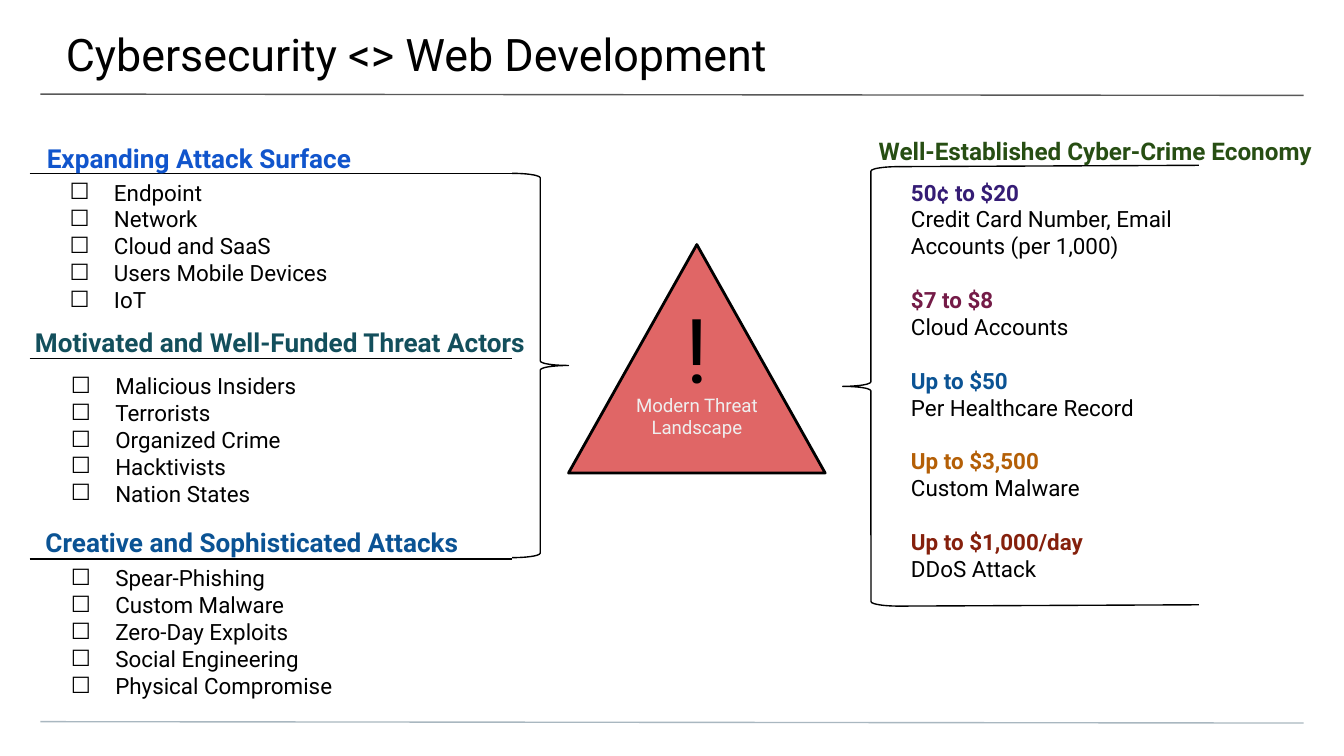
from dataclasses import dataclass

from lxml.etree import SubElement
from pptx import Presentation
from pptx.dml.color import RGBColor
from pptx.enum.shapes import MSO_CONNECTOR, MSO_SHAPE
from pptx.enum.text import MSO_ANCHOR, PP_ALIGN
from pptx.oxml.ns import qn
from pptx.util import Inches, Pt


@dataclass(frozen=True)
class Theme:
    font: str = "Roboto"
    black: str = "000000"
    top_rule: str = "595959"
    bottom_rule: str = "A9B7C0"
    alert: str = "E06666"
    pale: str = "EFEFEF"
    surface: str = "1155CC"
    actors: str = "134F5C"
    blue: str = "0B5394"
    economy: str = "274E13"
    purple: str = "351C75"
    plum: str = "741B47"
    amber: str = "B45F06"
    red: str = "85200C"
    title: int = 24
    heading: int = 14
    economy_heading: int = 13
    body: int = 12
    label: int = 10
    mark: int = 48
    gap: float = 14.4


T = Theme()

# heading, colour, heading box, heading insets, rule y, list left and top, items
THREATS = [
    ("Expanding Attack Surface", T.surface, (0.25, 0.8, 3.56, 0.49),
     (0.1, 0.1, 0.1, 0), 1.29, (0.25, 1.23),
     ["Endpoint", "Network", "Cloud and SaaS", "Users Mobile Devices", "IoT"]),
    ("Motivated and Well-Funded Threat Actors", T.actors, (0.26, 2.17, 3.85, 0.49),
     (0, 0, 0, 0), 2.67, (0.26, 2.67),
     ["Malicious Insiders", "Terrorists", "Organized Crime", "Hacktivists",
      "Nation States"]),
    ("Creative and Sophisticated Attacks", T.blue, (0.24, 3.66, 3.56, 0.49),
     (0.1, 0.1, 0.1, 0), 4.16, (0.26, 4.1),
     ["Spear-Phishing", "Custom Malware", "Zero-Day Exploits",
      "Social Engineering", "Physical Compromise"]),
]

PRICES = [
    ("50¢ to $20", T.purple, "Credit Card Number, Email Accounts (per 1,000)"),
    ("$7 to $8", T.plum, "Cloud Accounts"),
    ("Up to $50", T.blue, "Per Healthcare Record"),
    ("Up to $3,500", T.amber, "Custom Malware"),
    ("Up to $1,000/day", T.red, "DDoS Attack"),
]


def rgb(value):
    return RGBColor.from_string(value)


def add_text(p, text, size=T.body, color=T.black, bold=False,
             align=PP_ALIGN.LEFT, before=0):
    p.alignment = align
    p.space_before = Pt(before)
    r = p.add_run()
    r.text = text
    r.font.name = T.font
    r.font.size = Pt(size)
    r.font.bold = bold
    r.font.color.rgb = rgb(color)


def add_bullet(p):
    pPr = p._p.get_or_add_pPr()
    pPr.set("marL", str(Inches(0.5)))
    pPr.set("indent", str(Inches(-0.33)))
    clr = SubElement(pPr, qn("a:buClr"))
    SubElement(clr, qn("a:srgbClr")).set("val", T.black)
    SubElement(pPr, qn("a:buFont")).set("typeface", T.font)
    SubElement(pPr, qn("a:buChar")).set("char", "☐")


def set_frame(tf, insets, anchor):
    tf.word_wrap = True
    tf.vertical_anchor = anchor
    (tf.margin_left, tf.margin_top,
     tf.margin_right, tf.margin_bottom) = map(Inches, insets)


def add_box(s, box, insets=(0.1, 0.1, 0.1, 0.1), anchor=MSO_ANCHOR.TOP):
    tf = s.shapes.add_textbox(*map(Inches, box)).text_frame
    set_frame(tf, insets, anchor)
    return tf


def next_paragraph(tf, first):
    return tf.paragraphs[0] if first else tf.add_paragraph()


def add_heading(s, text, box, color, size=T.heading, insets=(0.1, 0.1, 0.1, 0)):
    tf = add_box(s, box, insets, MSO_ANCHOR.BOTTOM)
    add_text(tf.paragraphs[0], text, size=size, color=color, bold=True)


def add_checklist(s, items, left, top):
    tf = add_box(s, (left, top, 3.54, 1.12))
    for i, item in enumerate(items):
        p = next_paragraph(tf, i == 0)
        add_bullet(p)
        add_text(p, item)


def add_prices(s, prices, box):
    tf = add_box(s, box)
    for i, (price, color, goods) in enumerate(prices):
        add_text(next_paragraph(tf, i == 0), price, color=color, bold=True,
                 before=T.gap if i else 0)
        add_text(tf.add_paragraph(), goods)


def add_line(s, x1, y1, x2, y2, color=T.black):
    line = s.shapes.add_connector(MSO_CONNECTOR.STRAIGHT,
                                  *map(Inches, (x1, y1, x2, y2)))
    line.line.color.rgb = rgb(color)
    line.line.width = Pt(0.75)
    SubElement(line._element.spPr, qn("a:effectLst"))


def add_shape(s, kind, box, width, fill=None):
    sp = s.shapes.add_shape(kind, *map(Inches, box))
    sp.shadow.inherit = False
    if fill:
        sp.fill.solid()
        sp.fill.fore_color.rgb = rgb(fill)
    else:
        sp.fill.background()
    sp.line.color.rgb = rgb(T.black)
    sp.line.width = Pt(width)
    return sp


def add_brace(s, kind, box):
    sp = add_shape(s, kind, box, 0.75)
    sp.adjustments[0] = 0.08
    sp.adjustments[1] = 0.5


def main():
    prs = Presentation()
    prs.slide_width = Inches(10)
    prs.slide_height = Inches(10 * 9 / 16)
    s = prs.slides.add_slide(prs.slide_layouts[6])

    # Title and page rules
    add_line(s, 0.3, 0.7, 9.7, 0.71, T.top_rule)
    add_line(s, 0.3, 5.37, 9.7, 5.38, T.bottom_rule)
    tf = add_box(s, (-0.01, 0, 10.03, 0.58), (0.5, 0.2, 0.3, 0.1))
    add_text(tf.paragraphs[0], "Cybersecurity <> Web Development", size=T.title)

    # Threat groups on the left
    for heading, color, box, insets, rule_y, corner, items in THREATS:
        add_line(s, 0.22, rule_y, 3.81, rule_y)
        add_heading(s, heading, box, color, insets=insets)
        add_checklist(s, items, *corner)
    add_brace(s, MSO_SHAPE.RIGHT_BRACE, (3.81, 1.29, 0.42, 2.86))

    # Warning triangle in the middle
    sp = add_shape(s, MSO_SHAPE.ISOSCELES_TRIANGLE, (4.23, 1.82, 1.91, 1.7),
                   1.5, T.alert)
    set_frame(sp.text_frame, (0, 0.1, 0, 0.1), MSO_ANCHOR.MIDDLE)
    add_text(sp.text_frame.paragraphs[0], "Modern Threat Landscape",
             size=T.label, color=T.pale, align=PP_ALIGN.CENTER)
    tf = add_box(s, (4.78, 2.09, 0.82, 0.66))
    add_text(tf.paragraphs[0], "!", size=T.mark, align=PP_ALIGN.CENTER)

    # Price list on the right
    add_brace(s, MSO_SHAPE.LEFT_BRACE, (6.27, 1.24, 0.42, 3.27))
    for y in (1.24, 4.51):
        add_line(s, 6.69, y, 8.92, y - 0.01)
    add_heading(s, "Well-Established Cyber-Crime Economy",
                (6.44, 0.74, 3.56, 0.49), T.economy, size=T.economy_heading)
    add_prices(s, PRICES, (6.68, 1.23, 2.33, 3.18))

    prs.save("out.pptx")


if __name__ == "__main__":
    main()
